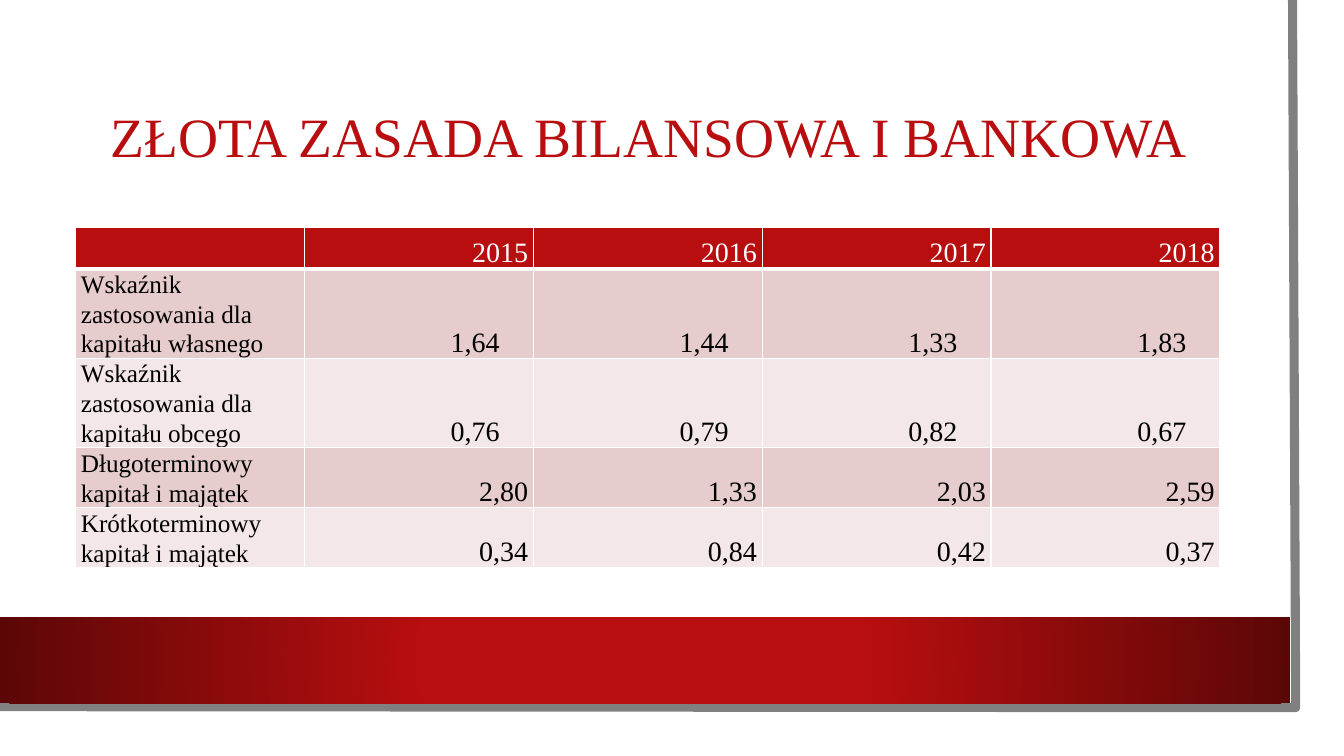
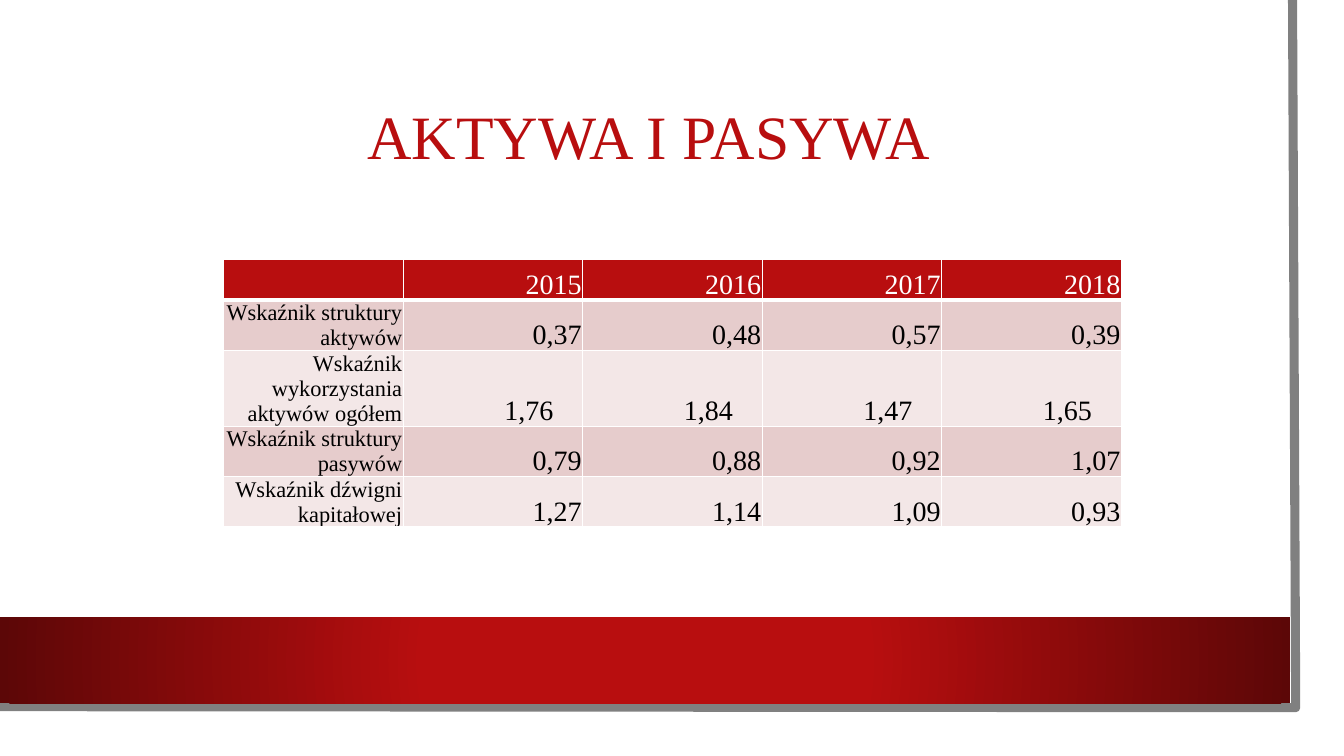
from lxml import etree
from pptx import Presentation
from pptx.dml.color import RGBColor
from pptx.enum.shapes import MSO_SHAPE
from pptx.enum.text import MSO_ANCHOR, MSO_AUTO_SIZE, PP_ALIGN
from pptx.oxml import parse_xml
from pptx.oxml.ns import nsdecls, qn
from pptx.util import Emu, Pt

RECT = MSO_SHAPE.RECTANGLE
LEFT, CENTER, RIGHT = PP_ALIGN.LEFT, PP_ALIGN.CENTER, PP_ALIGN.RIGHT
MIDDLE, BOTTOM = MSO_ANCHOR.MIDDLE, MSO_ANCHOR.BOTTOM
NO_FIT = MSO_AUTO_SIZE.NONE

FONT = "Times New Roman"
RED, DARK_RED, GREY = "B80E0F", "5C0707", "808080"
WHITE, BLACK = "FFFFFF", "000000"
BANDS = ["E6CCCC", "F3E7E7"]
TITLE_ONLY = 5

YEARS = ["", "2015", "2016", "2017", "2018"]
GOLDEN_RULE = [
    YEARS,
    ["Wskaźnik zastosowania dla kapitału własnego", "1,64", "1,44", "1,33", "1,83"],
    ["Wskaźnik zastosowania dla kapitału obcego", "0,76", "0,79", "0,82", "0,67"],
    ["Długoterminowy kapitał i majątek", "2,80", "1,33", "2,03", "2,59"],
    ["Krótkoterminowy kapitał i majątek", "0,34", "0,84", "0,42", "0,37"],
]
ASSETS = [
    YEARS,
    ["Wskaźnik struktury aktywów", "0,37", "0,48", "0,57", "0,39"],
    ["Wskaźnik wykorzystania aktywów ogółem", "1,76", "1,84", "1,47", "1,65"],
    ["Wskaźnik struktury pasywów", "0,79", "0,88", "0,92", "1,07"],
    ["Wskaźnik dźwigni kapitałowej", "1,27", "1,14", "1,09", "0,93"],
]


def px(n):
    return Emu(n * 9525)


def rgb(color):
    return RGBColor.from_string(color)


def write(tf, text, size, color, align=LEFT, spacing=1.0):
    p = tf.paragraphs[0]
    p.alignment = align
    p.line_spacing = spacing
    r = p.add_run()
    r.text = text
    r.font.name = FONT
    r.font.size = Pt(size)
    r.font.bold = False
    r.font.color.rgb = rgb(color)


# Frame shared by all slides
def add_rect(slide, x, y, w, h, color):
    sp = slide.shapes.add_shape(RECT, px(x), px(y), px(w), px(h))
    sp.shadow.inherit = False
    sp.fill.solid()
    sp.fill.fore_color.rgb = rgb(color)
    sp.line.fill.background()
    return sp


def set_radial_fill(sp, inner, outer, inner_stop):
    fill = parse_xml(
        f'<a:gradFill {nsdecls("a")} rotWithShape="1"><a:gsLst>'
        f'<a:gs pos="{inner_stop * 1000}"><a:srgbClr val="{inner}"/></a:gs>'
        f'<a:gs pos="100000"><a:srgbClr val="{outer}"/></a:gs></a:gsLst>'
        '<a:path path="circle"><a:fillToRect l="50000" t="50000" r="50000" b="50000"/>'
        '</a:path></a:gradFill>')
    solid = sp.element.spPr.find(qn("a:solidFill"))
    solid.getparent().replace(solid, fill)


def add_edge(slide):
    builder = slide.shapes.build_freeform(px(1231), 0)
    builder.add_line_segments([(px(1234), px(674)), (px(-3), px(673))], close=False)
    sp = builder.convert_to_shape()
    sp.shadow.inherit = False
    sp.fill.background()
    sp.line.color.rgb = rgb(GREY)
    sp.line.width = Pt(6.5)
    return sp


def style_layout(layout, slide):
    """Draw the frame on a slide, then move it behind the layout's placeholders."""
    sheet = add_rect(slide, 0, 0, 1258, 698, WHITE)
    edge = add_edge(slide)
    band = add_rect(slide, 0, 588, 1229, 82, RED)
    set_radial_fill(band, RED, DARK_RED, 34)
    for i, sp in enumerate([sheet, edge, band]):
        layout.shapes.element.insert(2 + i, sp.element)

    title = layout.placeholders[0]
    title.left, title.top, title.width, title.height = px(72), px(72), px(1092), px(121)
    title.text_frame.vertical_anchor = MIDDLE
    title.text_frame.auto_size = NO_FIT


# Title and table
def set_title(slide, text, size):
    write(slide.shapes.title.text_frame, text, size, RED, CENTER, 0.9)


def set_borders(cell, top, bottom):
    tcPr = cell._tc.get_or_add_tcPr()
    for i, (side, width) in enumerate(zip("LRTB", [1, 1, top, bottom])):
        ln = etree.Element(qn(f"a:ln{side}"), w=str(Pt(width)))
        fill = etree.SubElement(ln, qn("a:solidFill"))
        etree.SubElement(fill, qn("a:srgbClr"), val=WHITE)
        tcPr.insert(i, ln)


def add_ratio_table(slide, rows, x, y, col_w, row_heights, inset, label_size,
                    label_align, spacing, indented_rows):
    n_cols = len(rows[0])
    frame = slide.shapes.add_table(len(rows), n_cols, px(x), px(y),
                                   px(col_w * n_cols), px(sum(row_heights)))
    table = frame.table
    for col in table.columns:
        col.width = px(col_w)
    for i, values in enumerate(rows):
        table.rows[i].height = px(row_heights[i])
        for j, value in enumerate(values):
            cell = table.cell(i, j)
            is_label = i > 0 and j == 0
            indent = 27 if i in indented_rows and not is_label else 0
            cell.margin_left, cell.margin_right = px(inset), px(inset + indent)
            cell.margin_top = cell.margin_bottom = 0
            cell.vertical_anchor = BOTTOM
            cell.fill.solid()
            cell.fill.fore_color.rgb = rgb(BANDS[(i - 1) % 2] if i else RED)
            set_borders(cell, top=3 if i == 1 else 1, bottom=1 if i else 3)
            write(cell.text_frame, value, label_size if is_label else 20,
                  BLACK if i else WHITE, label_align if is_label else RIGHT, spacing)


def main():
    prs = Presentation()
    prs.slide_width, prs.slide_height = px(1280), px(720)
    layout = prs.slide_layouts[TITLE_ONLY]

    # Golden balance-sheet rule
    slide = prs.slides.add_slide(layout)
    style_layout(layout, slide)
    set_title(slide, "ZŁOTA ZASADA BILANSOWA I BANKOWA", 39.6)
    add_ratio_table(slide, GOLDEN_RULE, 72, 217, 218, [39, 85, 85, 57, 57], inset=5,
                    label_size=18, label_align=LEFT, spacing=1.07, indented_rows=[1, 2])

    # Assets and liabilities
    slide = prs.slides.add_slide(layout)
    set_title(slide, "AKTYWA I PASYWA", 44)
    add_ratio_table(slide, ASSETS, 213, 247, 171, [39, 48, 72, 48, 48], inset=1,
                    label_size=16, label_align=RIGHT, spacing=1.0, indented_rows=[2])

    prs.save("out.pptx")


if __name__ == "__main__":
    main()
